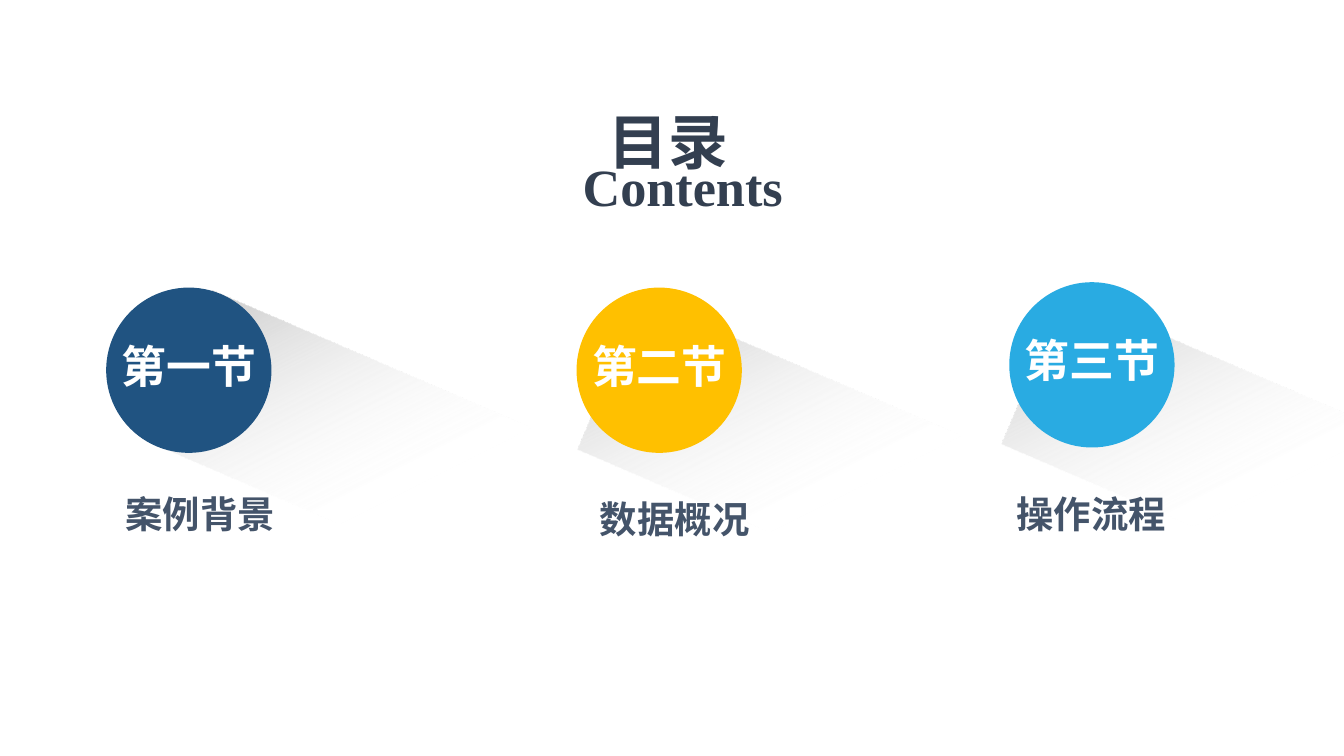
from lxml import etree
from pptx import Presentation
from pptx.dml.color import RGBColor
from pptx.enum.shapes import MSO_SHAPE
from pptx.enum.text import MSO_ANCHOR, PP_ALIGN
from pptx.oxml.ns import qn
from pptx.util import Inches, Pt

CENTER, JUSTIFY = PP_ALIGN.CENTER, PP_ALIGN.JUSTIFY
TOP, MIDDLE = MSO_ANCHOR.TOP, MSO_ANCHOR.MIDDLE
RECT, OVAL, DIAMOND = MSO_SHAPE.RECTANGLE, MSO_SHAPE.OVAL, MSO_SHAPE.DIAMOND

NAVY = RGBColor(0x20, 0x53, 0x81)
AMBER = RGBColor(0xFF, 0xC0, 0x00)
SKY = RGBColor(0x29, 0xAB, 0xE2)
WHITE = RGBColor(0xFF, 0xFF, 0xFF)
TITLE_INK = RGBColor(0x33, 0x3F, 0x50)
CAPTION_INK = RGBColor(0x44, 0x54, 0x6A)
CJK, LATIN = "Noto Sans CJK SC", "Times New Roman"

# Number, caption, colour, circle (left, top), shadow (left, top), caption (centre, top)
SECTIONS = [
    ("第一节", "案例背景", NAVY, (0.79, 2.14), (1.19, 2.85), (1.49, 3.65)),
    ("第二节", "数据概况", AMBER, (4.29, 2.14), (4.39, 2.91), (5.02, 3.69)),
    ("第三节", "操作流程", SKY, (7.51, 2.10), (7.54, 2.87), (8.12, 3.65)),
]
# Position %, colour, opacity %
SHADOW_STOPS = [(0, "4991D2", 54), (0, "BFBFBF", 100), (54, "FFFFFF", 0)]
CIRCLE = 1.23
SHADOW_W, SHADOW_H, SHADOW_TILT = 3.72, 1.22, 23.3
NUMBER_W, NUMBER_H, NUMBER_DROP = 1.32, 0.5, 0.33
CAPTION_W, CAPTION_H = 1.12, 0.34

prs = Presentation()
prs.slide_width = Inches(10)
prs.slide_height = prs.slide_width * 9 // 16
s = prs.slides.add_slide(prs.slide_layouts[6])


def add_shape(kind, x, y, w, h):
    sp = s.shapes.add_shape(kind, Inches(x), Inches(y), Inches(w), Inches(h))
    sp.shadow.inherit = False
    sp.line.fill.background()
    return sp


def add_shadow(x, y):
    sp = add_shape(RECT, x, y, SHADOW_W, SHADOW_H)
    sp.rotation = SHADOW_TILT
    sp.fill.gradient()
    sp.fill.gradient_angle = 320
    stops = sp.fill._fill._gradFill.find(qn("a:gsLst"))
    for old in list(stops):
        stops.remove(old)
    for pos, colour, opacity in SHADOW_STOPS:
        gs = etree.SubElement(stops, qn("a:gs"), pos=str(pos * 1000))
        clr = etree.SubElement(gs, qn("a:srgbClr"), val=colour)
        etree.SubElement(clr, qn("a:alpha"), val=str(opacity * 1000))


def add_text(text, x, y, w, h, size, colour, font=CJK, align=CENTER,
             anchor=MIDDLE, inset=(0, 0), wrap=False, kind=None):
    if kind is None:
        sp = s.shapes.add_textbox(Inches(x), Inches(y), Inches(w), Inches(h))
    else:
        sp = add_shape(kind, x, y, w, h)
        sp.fill.background()
    tf = sp.text_frame
    tf.word_wrap, tf.vertical_anchor = wrap, anchor
    tf.margin_left = tf.margin_right = Inches(inset[0])
    tf.margin_top = tf.margin_bottom = Inches(inset[1])
    p = tf.paragraphs[0]
    p.alignment = align
    r = p.add_run()
    r.text = text
    r.font.size, r.font.bold, r.font.name = Pt(size), True, font
    r.font.color.rgb = colour
    etree.SubElement(r.font._element, qn("a:ea"), typeface=font)


# Long shadows lie behind every circle
for *_, shadow, _ in SECTIONS:
    add_shadow(*shadow)

# Heading
add_text("目录", 4.53, 0.78, 1.1, 0.5, 32, TITLE_INK, align=JUSTIFY,
         anchor=TOP, wrap=True)
add_text("Contents", 4.45, 0.76, 1.26, 1.24, 28, TITLE_INK, font=LATIN, kind=DIAMOND)

# Circles with section numbers, captions below
for number, caption, colour, (x, y), _, (mid, caption_y) in SECTIONS:
    circle = add_shape(OVAL, x, y, CIRCLE, CIRCLE)
    circle.fill.solid()
    circle.fill.fore_color.rgb = colour
    add_text(number, x + (CIRCLE - NUMBER_W) / 2, y + NUMBER_DROP, NUMBER_W, NUMBER_H,
             24, WHITE, anchor=TOP, inset=(0.1, 0.05))
    add_text(caption, mid - CAPTION_W / 2, caption_y, CAPTION_W, CAPTION_H,
             20, CAPTION_INK)

prs.save("out.pptx")
